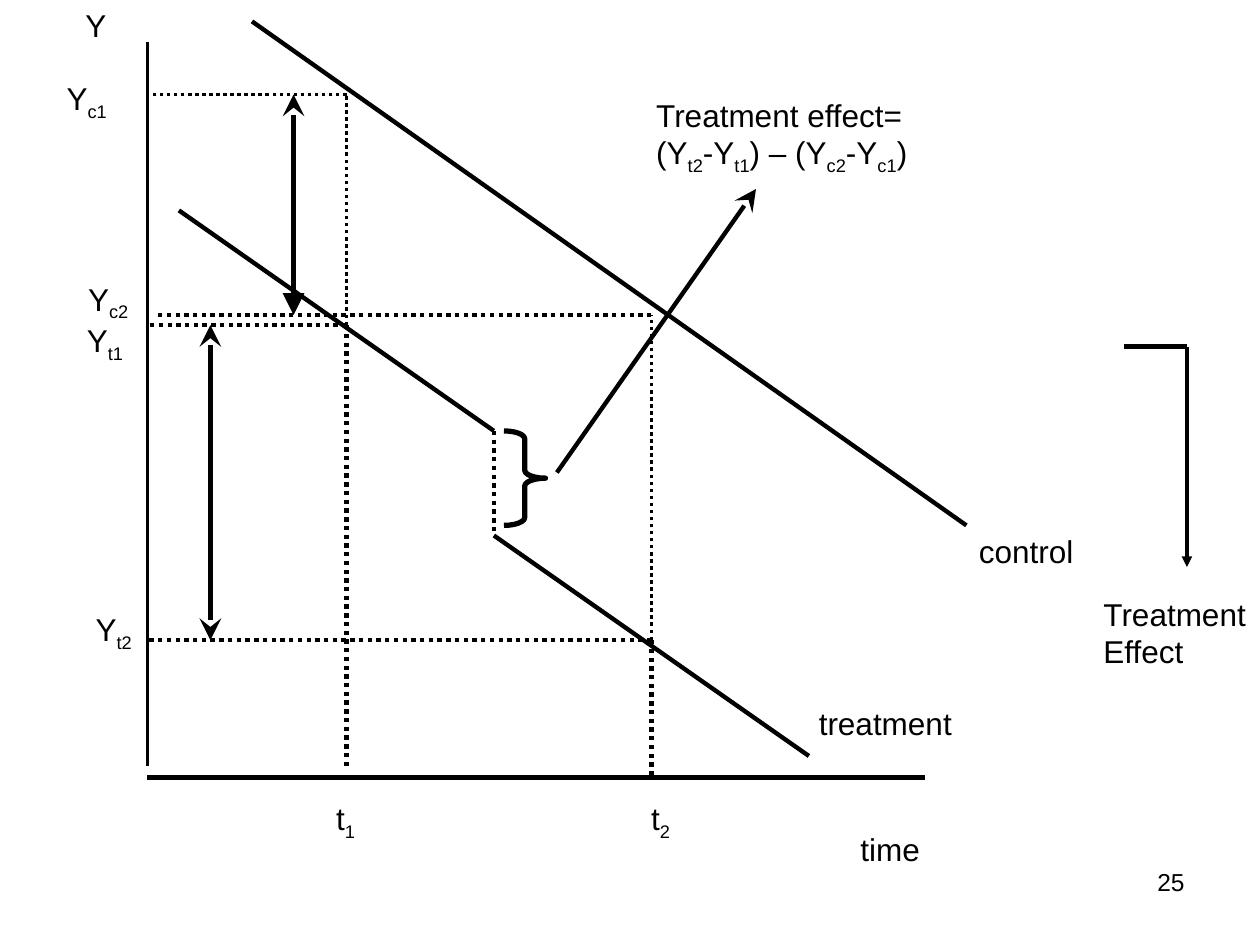
from dataclasses import dataclass

from lxml import etree
from pptx import Presentation
from pptx.dml.color import RGBColor
from pptx.enum import dml, shapes, text
from pptx.oxml import ns
from pptx.util import Inches, Pt

BLACK = RGBColor(0, 0, 0)
FONT = "Arial"
BOLD, THIN = 2.49, 2.01

# Shared positions: axes, times and outcome levels
AXIS, BASE = 1.17, 6.17
T1, T2 = 2.75, 5.17
YC1, YC2, YT1, YT2 = 0.75, 2.5, 2.58, 5.08
JUMP, TOP, LOW = 3.92, 3.42, 4.25
SIDE = 9.42


@dataclass
class Line:
    x1: float
    y1: float
    x2: float
    y2: float
    width: float = BOLD
    dots: bool = False
    head: str = ""
    tail: str = ""


@dataclass
class Label:
    x: float
    y: float
    w: float
    h: float
    rows: list[list[str]]  # odd entries of a row are subscripts
    wrap: bool = False
    size: int = 18
    right: bool = False


LINES = [
    # Axes
    Line(AXIS, BASE, 7.34, BASE),
    Line(AXIS, 6.08, AXIS, 0.33, THIN),
    # Control and treatment trends
    Line(2, 0.17, 7.67, 4.17),
    Line(1.42, 1.67, JUMP, TOP),
    Line(JUMP, LOW, 6.42, 6),
    Line(JUMP, TOP, JUMP, LOW, dots=True),
    # Guides to the axes
    Line(T1, YT1, AXIS, YT1, dots=True),
    Line(T1, YT1, T1, 6.08, dots=True),
    Line(T2, YT2, AXIS, YT2, dots=True),
    Line(T2, YT2, T2, BASE, dots=True),
    Line(T2, YC2, 1.25, YC2, dots=True),
    Line(T2, YT2, T2, YC2, THIN, True),
    Line(T1, YT1, T1, YC1, THIN, True),
    Line(T1, YC1, AXIS, YC1, THIN, True),
    # Change arrows
    Line(1.67, YT1, 1.67, YT2, head="stealth", tail="stealth"),
    Line(2.33, YC1, 2.33, YC2, head="stealth", tail="triangle"),
    # Pointers to the effect
    Line(4.42, 3.75, 6, 1.5, tail="stealth"),
    Line(8.92, 2.75, SIDE, 2.75),
    Line(SIDE, 2.75, SIDE, 4.5, THIN, tail="triangle"),
]

LABELS = [
    Label(0.58, 0, 0.37, 0.4, [["Y"]], True),
    Label(6.73, 6.54, 0.67, 0.4, [["time"]]),
    Label(2.57, 6.29, 0.35, 0.44, [["t", "1"]]),
    Label(5.07, 6.29, 0.35, 0.44, [["t", "2"]]),
    Label(0.43, 0.58, 0.52, 0.44, [["Y", "c1"]]),
    Label(0.6, 2.17, 0.52, 0.44, [["Y", "c2"]]),
    Label(0.59, 2.5, 0.49, 0.44, [["Y", "t1"]]),
    Label(0.66, 4.79, 0.49, 0.44, [["Y", "t2"]]),
    Label(6.4, 5.54, 1.28, 0.4, [["treatment"]]),
    Label(7.67, 4.17, 0.95, 0.4, [["control"]]),
    Label(5.11, 0.71, 2.19, 0.74, [
        ["Treatment effect="],
        ["(Y", "t2", "-Y", "t1", ") – (Y", "c2", "-Y", "c1", ")"],
    ]),
    Label(8.66, 4.67, 1.34, 0.7, [["Treatment"], ["Effect"]], True),
    Label(7.17, 6.83, 2.33, 0.52, [["25"]], True, 14, True),
]


def draw_line(slide, item: Line) -> None:
    ends = (item.x1, item.y1, item.x2, item.y2)
    line = slide.shapes.add_connector(
        shapes.MSO_CONNECTOR.STRAIGHT, *map(Inches, ends))
    line.line.color.rgb = BLACK
    line.line.width = Pt(item.width)
    if item.dots:
        line.line.dash_style = dml.MSO_LINE.ROUND_DOT
    props = line._element.spPr
    size = "lg" if item.width == BOLD else "med"
    for tag, kind in (("a:headEnd", item.head), ("a:tailEnd", item.tail)):
        if kind:
            etree.SubElement(props.find(ns.qn("a:ln")), ns.qn(tag),
                             type=kind, w=size, len=size)
    etree.SubElement(props, ns.qn("a:effectLst"))


def draw_label(slide, item: Label) -> None:
    place = (item.x, item.y, item.w, item.h)
    frame = slide.shapes.add_textbox(*map(Inches, place)).text_frame
    frame.word_wrap = item.wrap
    if not item.wrap:
        frame.auto_size = text.MSO_AUTO_SIZE.SHAPE_TO_FIT_TEXT
    for i, row in enumerate(item.rows):
        para = frame.add_paragraph() if i else frame.paragraphs[0]
        if item.right:
            para.alignment = text.PP_ALIGN.RIGHT
        for j, part in enumerate(row):
            run = para.add_run()
            run.text = part
            run.font.name = FONT
            run.font.size = Pt(item.size)
            run.font.color.rgb = BLACK
            if j % 2:
                run._r.get_or_add_rPr().set("baseline", "-25000")


def draw_brace(slide) -> None:
    place = (4, TOP, 0.33, 0.75)
    brace = slide.shapes.add_shape(
        shapes.MSO_SHAPE.RIGHT_BRACE, *map(Inches, place))
    brace.adjustments[0] = 0.19
    brace.shadow.inherit = False
    brace.fill.background()
    brace.line.color.rgb = BLACK
    brace.line.width = Pt(3)


deck = Presentation()
deck.slide_width, deck.slide_height = Inches(10), Inches(7.5)
slide = deck.slides.add_slide(deck.slide_layouts[6])

for item in LINES:
    draw_line(slide, item)
draw_brace(slide)
for item in LABELS:
    draw_label(slide, item)

deck.save("out.pptx")
